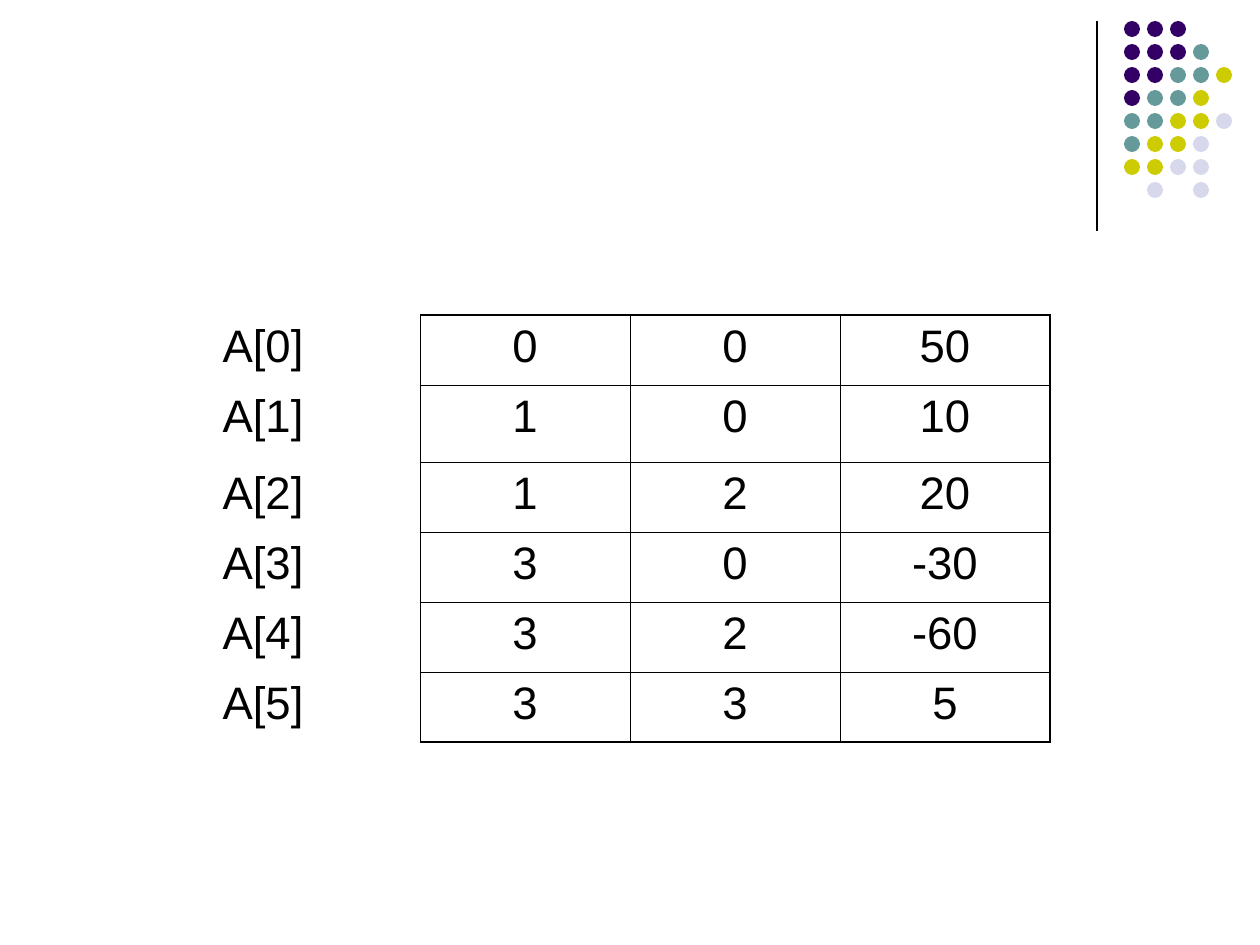
import dataclasses
import typing

import lxml.etree
import pptx
import pptx.dml.color
import pptx.enum.shapes
import pptx.enum.text
import pptx.oxml.ns
import pptx.util

EMU_PER_PX = 914400 / 126
COLORS = {
    "black": "000000",
    "purple": "330066",
    "teal": "669999",
    "yellow": "CCCC00",
    "lavender": "D8D8EC",
}
THIN, THICK = 0.45, 1.08


@dataclasses.dataclass(frozen=True)
class DotGrid:
    left: int
    top: int
    pitch: int
    diameter: int
    rows: tuple[str, ...]
    palette: dict[str, str]


@dataclasses.dataclass(frozen=True)
class ArrayTable:
    left: int
    top: int
    column_width: int
    row_heights: tuple[int, ...]
    rows: tuple[tuple[int, ...], ...]


DOTS = DotGrid(
    left=1124, top=21, pitch=23, diameter=16,
    rows=("PPP", "PPPT", "PPTTY", "PTTY", "TTYYL", "TYYL", "YYLL", " L L"),
    palette={"P": "purple", "T": "teal", "Y": "yellow", "L": "lavender"},
)
ARRAY = ArrayTable(
    left=210, top=315, column_width=210, row_heights=(70, 77, 70, 70, 70, 70),
    rows=((0, 0, 50), (1, 0, 10), (1, 2, 20), (3, 0, -30), (3, 2, -60), (3, 3, 5)),
)
CELL_FONT = {"name": "Arial", "size": pptx.util.Pt(26)}


def px(length: int) -> int:
    return round(length * EMU_PER_PX)


def color(name: str) -> pptx.dml.color.RGBColor:
    return pptx.dml.color.RGBColor.from_string(COLORS[name])


def apply_format(target: typing.Any, values: dict[str, typing.Any]) -> None:
    for name, value in values.items():
        setattr(target, name, value)


def add_divider(slide: typing.Any, x: int, top: int, bottom: int) -> None:
    divider = slide.shapes.add_connector(
        pptx.enum.shapes.MSO_CONNECTOR.STRAIGHT, px(x), px(top), px(x), px(bottom))
    divider.line.color.rgb = color("black")
    divider.line.width = pptx.util.Pt(0.75)
    lxml.etree.SubElement(divider._element.spPr, pptx.oxml.ns.qn("a:effectLst"))


def add_dots(slide: typing.Any, grid: DotGrid) -> None:
    group = slide.shapes.add_group_shape()
    for row, pattern in enumerate(grid.rows):
        for column, key in enumerate(pattern):
            if key == " ":
                continue
            dot = group.shapes.add_shape(
                pptx.enum.shapes.MSO_SHAPE.OVAL,
                px(grid.left + column * grid.pitch), px(grid.top + row * grid.pitch),
                px(grid.diameter), px(grid.diameter))
            dot.fill.solid()
            dot.fill.fore_color.rgb = color(grid.palette[key])
            dot.line.fill.background()
            dot.shadow.inherit = False


def set_borders(cell: typing.Any, widths: dict[str, float]) -> None:
    """Draw the sides named in widths (points) and hide the others."""
    properties = cell._tc.get_or_add_tcPr()
    for side in "LRTB":
        line = lxml.etree.SubElement(properties, pptx.oxml.ns.qn(f"a:ln{side}"))
        if side not in widths:
            lxml.etree.SubElement(line, pptx.oxml.ns.qn("a:noFill"))
            continue
        line.set("w", str(pptx.util.Pt(widths[side])))
        fill = lxml.etree.SubElement(line, pptx.oxml.ns.qn("a:solidFill"))
        lxml.etree.SubElement(fill, pptx.oxml.ns.qn("a:srgbClr"), val=COLORS["black"])


def write_cell(cell: typing.Any, text: str, alignment: typing.Any) -> None:
    cell.text = text
    paragraph = cell.text_frame.paragraphs[0]
    apply_format(paragraph, {"alignment": alignment, "space_before": pptx.util.Pt(6.5)})
    apply_format(paragraph.runs[0].font, CELL_FONT)
    paragraph.runs[0].font.color.rgb = color("black")


def add_array_table(slide: typing.Any, array: ArrayTable) -> None:
    align = pptx.enum.text.PP_ALIGN
    last_row, last_column = len(array.rows) - 1, len(array.rows[0])
    table = slide.shapes.add_table(
        last_row + 1, last_column + 1, px(array.left), px(array.top),
        px(array.column_width * (last_column + 1)), px(sum(array.row_heights))).table
    apply_format(table, {"first_row": False, "horz_banding": False})
    for column in table.columns:
        column.width = px(array.column_width)
    for row, values in enumerate(array.rows):
        table.rows[row].height = px(array.row_heights[row])
        for column, text in enumerate((f"A[{row}]", *map(str, values))):
            cell = table.cell(row, column)
            is_label = column == 0
            write_cell(cell, text, align.LEFT if is_label else align.CENTER)
            set_borders(cell, {"R": THIN} if is_label else {
                "L": THIN,
                "R": THICK if column == last_column else THIN,
                "T": THICK if row == 0 else THIN,
                "B": THICK if row == last_row else THIN,
            })
            cell.fill.background()


def main() -> None:
    presentation = pptx.Presentation()
    apply_format(presentation, {"slide_width": px(1260), "slide_height": px(945)})
    slide = presentation.slides.add_slide(presentation.slide_layouts[6])
    add_divider(slide, x=1097, top=21, bottom=231)
    add_dots(slide, DOTS)
    add_array_table(slide, ARRAY)
    presentation.save("out.pptx")


if __name__ == "__main__":
    main()
